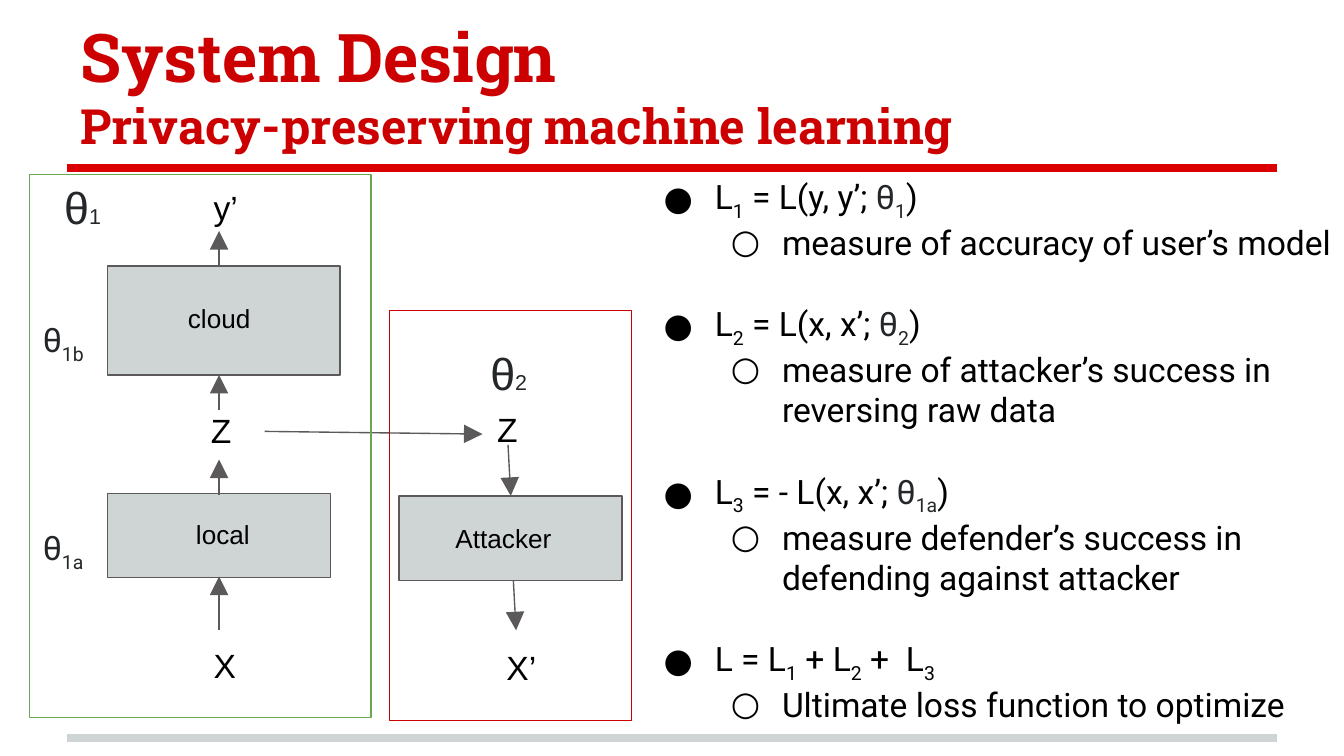
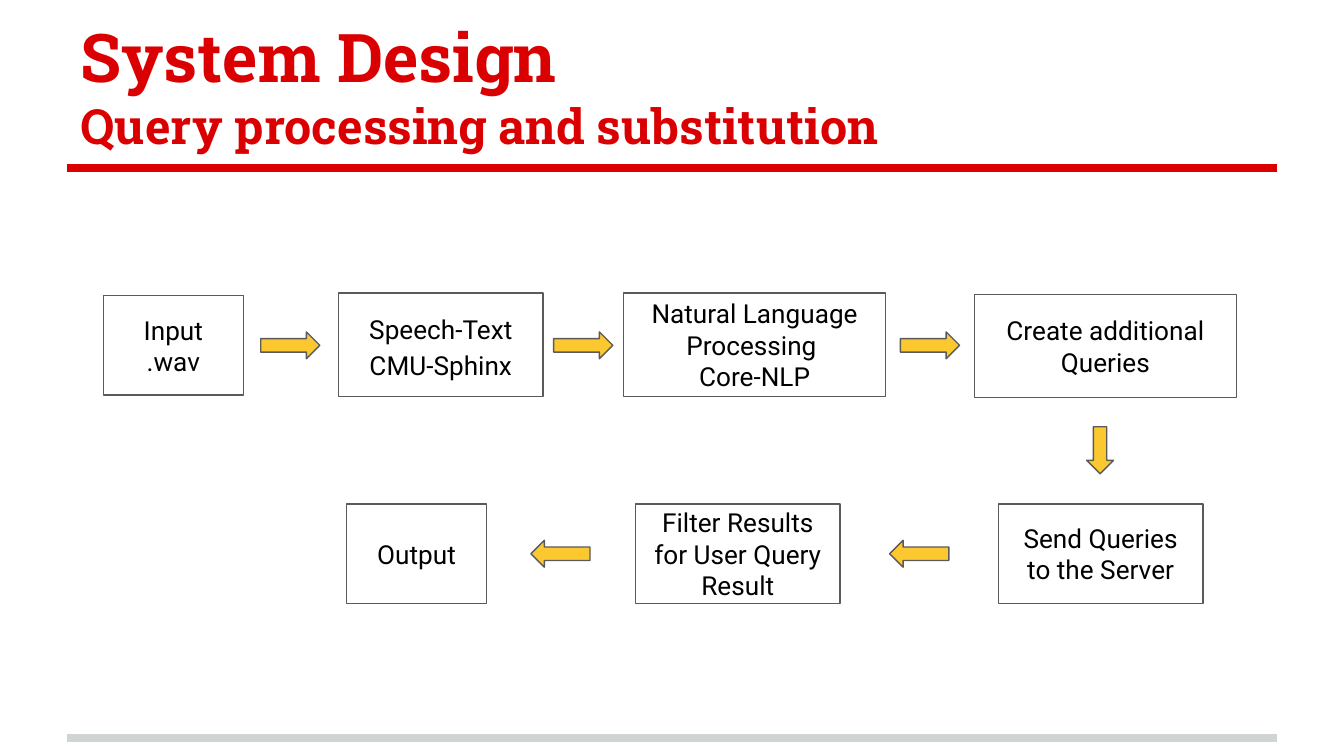
from dataclasses import dataclass
from typing import NamedTuple

from lxml import etree
from pptx import Presentation
from pptx.dml.color import RGBColor
from pptx.enum.shapes import MSO_CONNECTOR, MSO_SHAPE
from pptx.enum.text import MSO_ANCHOR, PP_ALIGN
from pptx.oxml.ns import qn
from pptx.util import Pt

STRAIGHT = MSO_CONNECTOR.STRAIGHT
RECTANGLE = MSO_SHAPE.RECTANGLE
RIGHT_ARROW = MSO_SHAPE.RIGHT_ARROW
TOP, MIDDLE, BOTTOM = MSO_ANCHOR.TOP, MSO_ANCHOR.MIDDLE, MSO_ANCHOR.BOTTOM
LEFT, CENTER = PP_ALIGN.LEFT, PP_ALIGN.CENTER

EMU_PER_PX = 9144  # 100 px to the inch
SLIDE_WIDTH = 1000 * EMU_PER_PX
SLIDE_HEIGHT = SLIDE_WIDTH * 9 // 16


@dataclass(frozen=True)
class Theme:
    red: str = "DA0002"
    deep_red: str = "CC0000"
    green: str = "6AA84F"
    yellow: str = "FBC82F"
    grey: str = "CFD4D4"
    outline: str = "5B595A"
    black: str = "000000"
    theta: str = "242729"
    white: str = "FFFFFF"
    title_font: str = "Roboto Slab"
    body_font: str = "Roboto"
    label_font: str = "Arial"
    title_size: float = 36
    subtitle_size: float = 26
    theta_size: float = 24
    body_size: float = 18
    box_size: float = 14
    index_size: float = 11.5
    thin: float = 0.75
    thick: float = 4


THEME = Theme()


class Box(NamedTuple):
    left: int
    top: int
    width: int
    height: int


class Run(NamedTuple):
    text: str
    color: str = THEME.black
    size: float = THEME.body_size
    font: str = THEME.body_font
    bold: bool = False
    subscript: bool = False


class Paragraph(NamedTuple):
    runs: list[Run]
    align: PP_ALIGN = LEFT
    space_before: float = 0
    line_spacing: float = 1.0
    bullet: str = ""
    level: int = 0


class Label(NamedTuple):
    box: Box
    text: str
    size: float = THEME.body_size


class Arrow(NamedTuple):
    start: tuple[int, int]
    end: tuple[int, int]


class Step(NamedTuple):
    box: Box
    lines: list[str]
    line_spacing: float = 1.0


class BlockArrow(NamedTuple):
    box: Box
    rotation: int = 0


def px(length: int) -> int:
    return length * EMU_PER_PX


def rgb(color: str) -> RGBColor:
    return RGBColor.from_string(color)


def apply_format(target, values: dict) -> None:
    for name, value in values.items():
        setattr(target, name, value)


def write_text(shape, paragraphs: list[Paragraph], anchor: MSO_ANCHOR = TOP) -> None:
    frame = shape.text_frame
    margins = {f"margin_{side}": px(10) for side in ("left", "right", "top", "bottom")}
    apply_format(frame, {"word_wrap": True, "vertical_anchor": anchor, **margins})
    for index, item in enumerate(paragraphs):
        paragraph = frame.add_paragraph() if index else frame.paragraphs[0]
        apply_format(paragraph, {
            "alignment": item.align,
            "level": item.level,
            "space_before": Pt(item.space_before),
            "line_spacing": item.line_spacing,
        })
        if item.bullet:
            add_bullet(paragraph, item)
        for part in item.runs:
            run = paragraph.add_run()
            run.text = part.text
            apply_format(run.font, {
                "name": part.font, "size": Pt(part.size), "bold": part.bold,
            })
            run.font.color.rgb = rgb(part.color)
            if part.subscript:
                run.font._element.set("baseline", "-25000")


def add_bullet(paragraph, item: Paragraph) -> None:
    properties = paragraph._p.get_or_add_pPr()
    properties.set("marL", str(px(50 * (item.level + 1))))
    properties.set("indent", str(px(-38)))
    etree.SubElement(properties, qn("a:buFont")).set("typeface", THEME.body_font)
    etree.SubElement(properties, qn("a:buChar")).set("char", item.bullet)


def add_text(slide, box: Box, paragraphs: list[Paragraph], anchor: MSO_ANCHOR = TOP) -> None:
    write_text(slide.shapes.add_textbox(*map(px, box)), paragraphs, anchor)


def add_outlined(slide, box: Box, fill: str | None, line: str = THEME.outline,
                 preset: MSO_SHAPE = RECTANGLE):
    """Draw a thin-lined preset shape, hollow when fill is None."""
    shape = slide.shapes.add_shape(preset, *map(px, box))
    shape.shadow.inherit = False
    if fill is None:
        shape.fill.background()
    else:
        shape.fill.solid()
        shape.fill.fore_color.rgb = rgb(fill)
    shape.line.color.rgb = rgb(line)
    shape.line.width = Pt(THEME.thin)
    return shape


def add_line(slide, route: Arrow, color: str = THEME.outline,
             width: float = THEME.thin, arrowhead: bool = True) -> None:
    connector = slide.shapes.add_connector(STRAIGHT, *map(px, route.start + route.end))
    connector.line.color.rgb = rgb(color)
    connector.line.width = Pt(width)
    if arrowhead:
        line = connector.line._get_or_add_ln()
        etree.SubElement(line, qn("a:tailEnd"), type="triangle", w="lg", len="lg")
    etree.SubElement(connector._element.spPr, qn("a:effectLst"))


def add_system_slide(presentation, subtitle: str, title_color: str):
    """Add a slide with the shared title and the two horizontal rules."""
    slide = presentation.slides.add_slide(presentation.slide_layouts[6])
    for height, color in ((549, THEME.grey), (125, THEME.red)):
        rule = Arrow((50, height), (950, height))
        add_line(slide, rule, color, THEME.thick, arrowhead=False)
    headings = (("System Design", THEME.title_size), (subtitle, THEME.subtitle_size))
    add_text(slide, Box(50, 31, 900, 94), [
        Paragraph([Run(text, title_color, size, THEME.title_font, bold=True)])
        for text, size in headings
    ], BOTTOM)
    return slide


def theta(index: str) -> list[Run]:
    return [Run("θ", THEME.theta), Run(index, THEME.theta, subscript=True)]


def loss(index: str) -> list[Run]:
    return [Run("L"), Run(index, subscript=True)]


def loss_definition(index: str, arguments: str, parameter: str) -> list[Run]:
    return [*loss(index), Run(f" = {arguments}; "), *theta(parameter), Run(")")]


MODEL_BOXES = [Box(80, 198, 173, 81), Box(80, 367, 166, 63), Box(297, 369, 166, 63)]
MODEL_LABELS = [
    Label(Box(149, 470, 61, 51), "X"),
    Label(Box(136, 376, 61, 51), "local", THEME.box_size),
    Label(Box(130, 215, 73, 51), "cloud", THEME.box_size),
    Label(Box(147, 295, 36, 40), "Z"),
    Label(Box(149, 129, 61, 40), "y’"),
    Label(Box(329, 379, 101, 51), "Attacker", THEME.box_size),
    Label(Box(360, 294, 45, 51), "Z"),
    Label(Box(367, 471, 61, 51), "X’"),
]
MODEL_ARROWS = [
    Arrow((163, 469), (163, 429)),
    Arrow((163, 368), (163, 342)),
    Arrow((163, 305), (163, 279)),
    Arrow((163, 198), (163, 172)),
    Arrow((378, 331), (380, 369)),
    Arrow((382, 432), (384, 469)),
    Arrow((197, 321), (359, 323)),
]
MODEL_THETAS = [Label(Box(38, 124, 73, 74), "1"), Label(Box(355, 247, 73, 63), "2")]
LOSSES = [
    (loss_definition("1", "L(y, y’", "1"), "measure of accuracy of user’s model"),
    (loss_definition("2", "L(x, x’", "2"),
     "measure of attacker’s success in reversing raw data"),
    (loss_definition("3", "- L(x, x’", "1a"),
     "measure defender’s success in defending against attacker"),
    ([Run("L = "), *loss("1"), Run(" + "), *loss("2"), Run(" +  "), *loss("3")],
     "Ultimate loss function to optimize"),
]


def build_privacy_slide(presentation) -> None:
    slide = add_system_slide(
        presentation, "Privacy-preserving machine learning", THEME.deep_red)
    for box in MODEL_BOXES:
        add_outlined(slide, box, THEME.grey)
    for label in MODEL_LABELS:
        run = Run(label.text, size=label.size, font=THEME.label_font)
        add_text(slide, label.box, [Paragraph([run])])
    for arrow in MODEL_ARROWS:
        add_line(slide, arrow)

    bullets = []
    for index, (formula, meaning) in enumerate(LOSSES):
        gap = 22 if index else 0
        bullets.append(Paragraph(formula, space_before=gap, bullet="●"))
        bullets.append(Paragraph([Run(meaning)], bullet="○", level=1))
    add_text(slide, Box(472, 121, 551, 409), bullets)

    for label in MODEL_THETAS:
        add_text(slide, label.box, [Paragraph([
            Run(text, THEME.theta, size, THEME.label_font)
            for text, size in (("θ", THEME.theta_size), (label.text, THEME.index_size))
        ])])
    user_frame = add_outlined(slide, Box(22, 130, 254, 404), None, THEME.green)
    write_text(user_frame, [
        Paragraph(theta("1b")), Paragraph(theta("1a"), space_before=87),
    ], MIDDLE)
    add_outlined(slide, Box(290, 231, 180, 305), None, THEME.deep_red)


QUERY_STEPS = [
    Step(Box(77, 220, 104, 74), ["Input", ".wav"]),
    Step(Box(252, 218, 152, 77), ["Speech-Text", "CMU-Sphinx"], 1.15),
    Step(Box(464, 218, 195, 77), ["Natural Language Processing ", "Core-NLP"]),
    Step(Box(725, 219, 195, 77), ["Create additional Queries"]),
    Step(Box(743, 375, 152, 74), ["Send Queries to the Server"]),
    Step(Box(473, 375, 152, 74), ["Filter Results for User Query Result"]),
    Step(Box(258, 375, 104, 74), ["Output"]),
]
QUERY_ARROWS = [
    *(BlockArrow(Box(left, 247, 44, 20)) for left in (194, 412, 670)),
    BlockArrow(Box(801, 325, 35, 20), 90),
    *(BlockArrow(Box(left, 402, 44, 20), 180) for left in (662, 395)),
]


def build_query_slide(presentation) -> None:
    slide = add_system_slide(presentation, "Query processing and substitution", THEME.red)
    for step in QUERY_STEPS:
        write_text(add_outlined(slide, step.box, THEME.white), [
            Paragraph([Run(line, size=THEME.box_size)], CENTER,
                      line_spacing=step.line_spacing)
            for line in step.lines
        ], MIDDLE)
    for arrow in QUERY_ARROWS:
        shape = add_outlined(slide, arrow.box, THEME.yellow, preset=RIGHT_ARROW)
        shape.rotation = arrow.rotation


def main() -> None:
    presentation = Presentation()
    apply_format(presentation, {"slide_width": SLIDE_WIDTH, "slide_height": SLIDE_HEIGHT})
    build_privacy_slide(presentation)
    build_query_slide(presentation)
    presentation.save("out.pptx")


if __name__ == "__main__":
    main()
